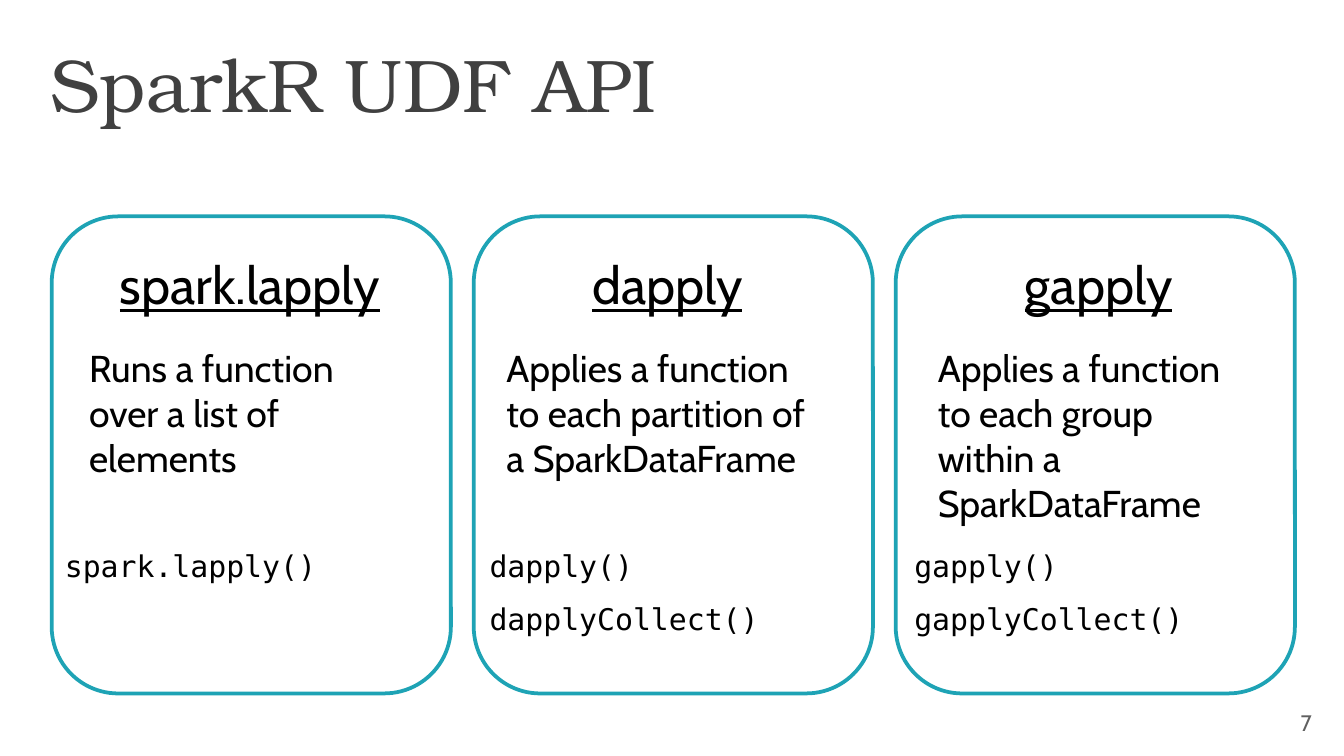
from pptx import Presentation
from pptx.dml.color import RGBColor
from pptx.enum.shapes import MSO_SHAPE
from pptx.enum.text import MSO_ANCHOR, PP_ALIGN
from pptx.util import Inches, Pt

# The slide is a grid of square cells: 100 columns by 56.25 rows (16:9).
CELL = Inches(0.1)
COLUMNS, ROWS = 100, 56.25

BLACK = RGBColor(0x00, 0x00, 0x00)
TITLE_GREY = RGBColor(0x40, 0x40, 0x40)
NUMBER_GREY = RGBColor(0x60, 0x60, 0x60)
TEAL = RGBColor(0x1E, 0xA3, 0xB5)

TITLE = {"name": "TeX Gyre Bonum", "size": Pt(40)}
HEADING = {"name": "Cabin", "size": Pt(28), "underline": True}
BODY = {"name": "Cabin", "size": Pt(20)}
CODE = {"name": "DejaVu Sans Mono", "size": Pt(16)}
NUMBER = {"name": "Cabin", "size": Pt(12)}

CARD_LEFT, CARD_TOP, CARD_WIDTH, CARD_HEIGHT = 3.85, 16.1, 29.7, 35.5
CARD_PITCH = 31.4
CODE_TOP, CODE_PITCH = 40.25, 3.95

# Heading, description, functions, text indent, code indent (in columns)
CARDS = [
    ("spark.lapply", "Runs a function over a list of elements",
     ["spark.lapply()"], 1.8, 0),
    ("dapply", "Applies a function to each partition of a SparkDataFrame",
     ["dapply()", "dapplyCollect()"], 1.45, 0.2),
    ("gapply", "Applies a function to each group within a SparkDataFrame",
     ["gapply()", "gapplyCollect()"], 2.15, 0.4),
]


def cells(*lengths):
    """Turn grid columns or rows into slide lengths."""
    return [round(length * CELL) for length in lengths]


def add_text(shapes, text, box, font, color=BLACK,
             anchor=MSO_ANCHOR.TOP, **paragraph_format):
    """Add a wrapping text box; box is left, top, width, height in cells."""
    frame = shapes.add_textbox(*cells(*box)).text_frame
    frame.word_wrap = True
    frame.vertical_anchor = anchor
    paragraph = frame.paragraphs[0]
    for name, value in paragraph_format.items():
        setattr(paragraph, name, value)
    run = paragraph.add_run()
    run.text = text
    for name, value in font.items():
        setattr(run.font, name, value)
    run.font.color.rgb = color


def add_outline(shapes, left):
    """Add the rounded frame of a card."""
    shape = shapes.add_shape(
        MSO_SHAPE.ROUNDED_RECTANGLE,
        *cells(left, CARD_TOP, CARD_WIDTH, CARD_HEIGHT))
    shape.shadow.inherit = False
    shape.fill.background()
    shape.line.color.rgb = TEAL
    shape.line.width = Pt(2)


def add_card(slide, index, heading, description, functions,
             text_indent, code_indent):
    """Add one grouped card describing a family of functions."""
    shapes = slide.shapes.add_group_shape().shapes
    left = CARD_LEFT + index * CARD_PITCH
    add_outline(shapes, left)
    text_left = left + text_indent
    add_text(shapes, heading, (text_left, 18.3, 25.9, 5.7), HEADING,
             alignment=PP_ALIGN.CENTER, space_before=Pt(6))
    add_text(shapes, description, (text_left, 25.2, 25, 11.1), BODY,
             space_before=Pt(6))
    for row, function in enumerate(functions):
        top = CODE_TOP + row * CODE_PITCH
        add_text(shapes, function, (left + code_indent, top, 29.3, 3.7),
                 CODE, space_before=Pt(6))


def main():
    """Build and save the slide."""
    presentation = Presentation()
    presentation.slide_width, presentation.slide_height = cells(COLUMNS, ROWS)
    slide = presentation.slides.add_slide(presentation.slide_layouts[6])
    add_text(slide.shapes, "SparkR UDF API", (2.8, 2.3, 93.6, 9.4),
             TITLE, TITLE_GREY)
    add_text(slide.shapes, "7", (92.5, 52.3, 6.1, 3), NUMBER, NUMBER_GREY,
             MSO_ANCHOR.MIDDLE, alignment=PP_ALIGN.RIGHT)
    for index, card in enumerate(CARDS):
        add_card(slide, index, *card)
    presentation.save("out.pptx")


main()
